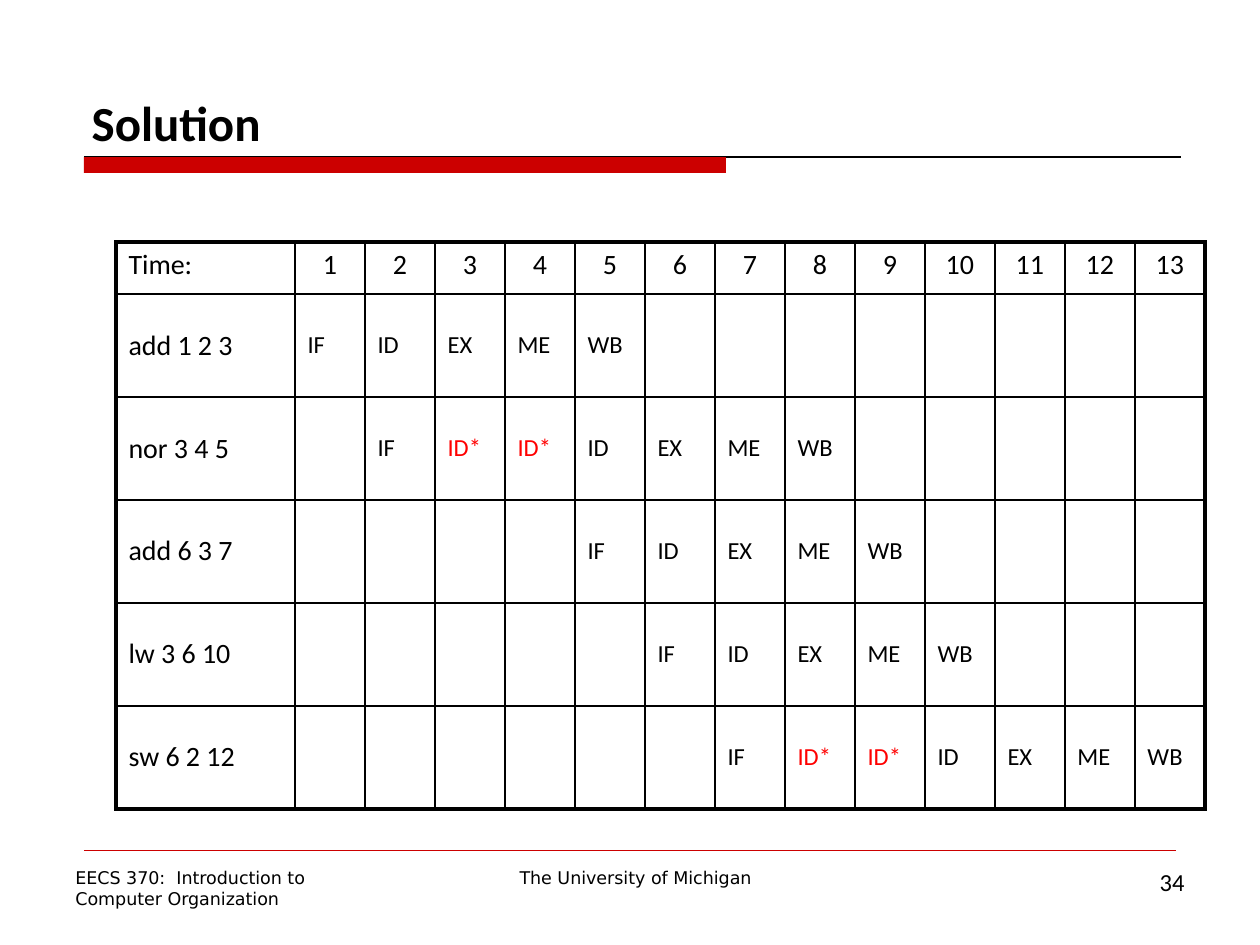
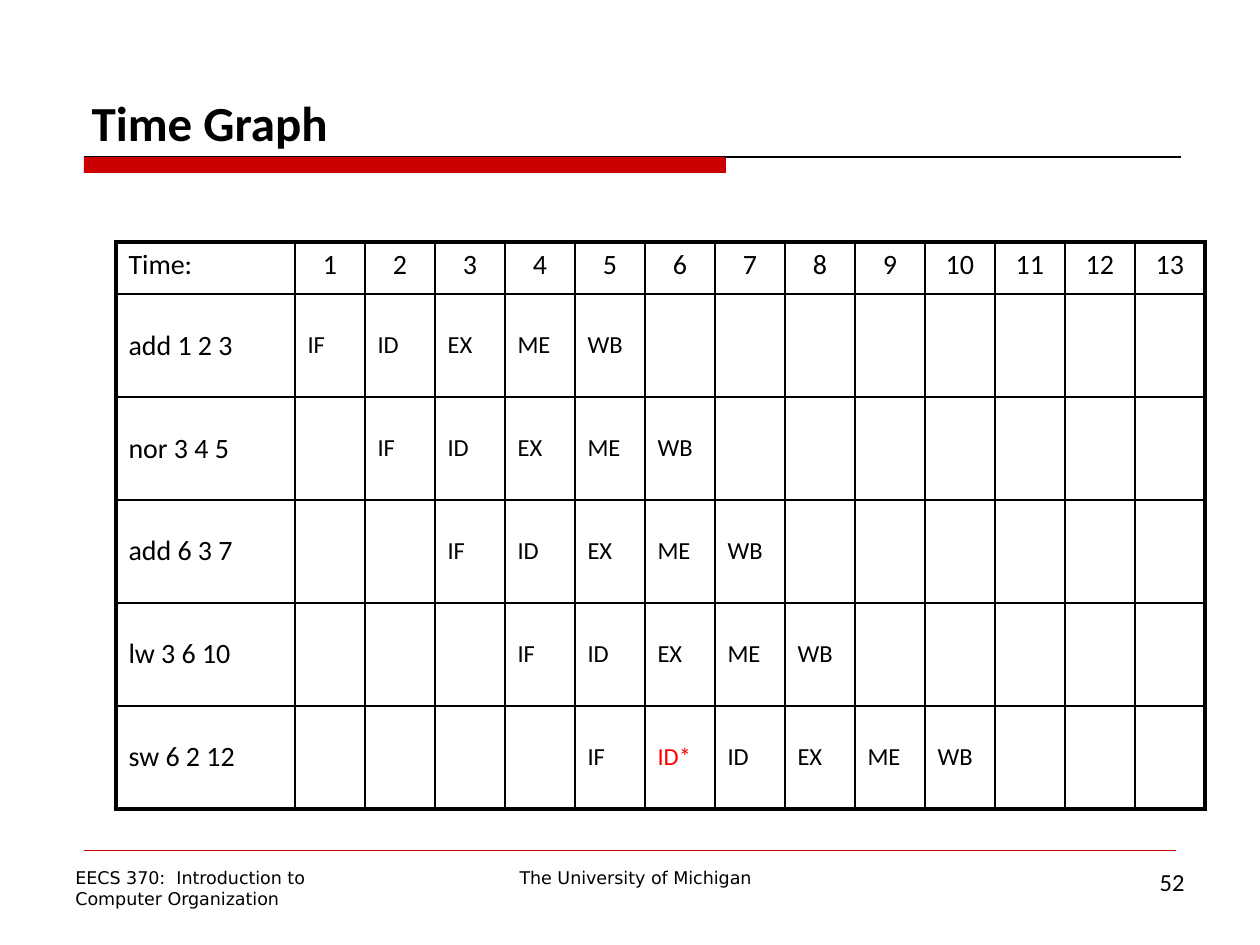
from lxml.etree import SubElement as Sub
from pptx import Presentation
from pptx.dml.color import RGBColor
from pptx.enum.shapes import MSO_CONNECTOR as Link, MSO_SHAPE as Shape
from pptx.enum.text import MSO_ANCHOR as Anchor, MSO_AUTO_SIZE as Fit, PP_ALIGN as Align
from pptx.oxml.ns import qn
from pptx.util import Pt

CODE = ["add 1 2 3", "nor 3 4 5", "add 6 3 7", "lw 3 6 10", "sw 6 2 12"]
STAGES = ["ID", "EX", "ME", "WB"]
STALL = "ID*"
CYCLES = 13
SLIDES = [
    {"title": "Solution", "page": "34", "stalls": [0, 2, 0, 0, 2]},
    {"title": "Time Graph", "page": "52", "stalls": [0, 0, 0, 0, 1]},
]
COURSE = "EECS 370:  Introduction to\nComputer Organization"
SCHOOL = "The University of Michigan"

BLACK, RED, BAND = "000000", "FF0000", "CC0000"
SANS, FOOT = "Calibri", "DejaVu Sans"
THIN, THICK = 1, 2.25
LEFT, TOP = 116, 242
NAME_W, STEP_W = 179, 70
HEAD_H, ROW_H = 52, 103


def px(n):
    return round(n * 914400 / 126)


def box(*sides):
    return [px(n) for n in sides]


def color(code):
    return RGBColor.from_string(code)


def style(frame, size, face=SANS, ink=BLACK, align=Align.LEFT, bold=False):
    for para in frame.paragraphs:
        para.alignment = align
        for run in para.runs:
            font = run.font
            font.size, font.name, font.bold = Pt(size), face, bold
            font.color.rgb = color(ink)


def label(slide, text, place, size, face, align):
    frame = slide.shapes.add_textbox(*box(*place)).text_frame
    frame.word_wrap = True
    frame.text = text
    style(frame, size, face, align=align)


def rule(slide, ends, ink, width):
    line = slide.shapes.add_connector(Link.STRAIGHT, *box(*ends))
    line.line.color.rgb = color(ink)
    line.line.width = Pt(width)
    Sub(line._element.spPr, qn("a:effectLst"))


def base(slide, title, page):
    rule(slide, (84, 157, 1181, 157), BLACK, 0.75)
    band = slide.shapes.add_shape(Shape.RECTANGLE, *box(84, 157, 642, 16))
    band.shadow.inherit = False
    band.fill.solid()
    band.fill.fore_color.rgb = color(BAND)
    band.line.fill.background()
    rule(slide, (84, 850, 1176, 850), BAND, 0.25)
    label(slide, SCHOOL, (399, 861, 473, 34), 10, FOOT, Align.CENTER)
    label(slide, COURSE, (63, 861, 346, 54), 10, FOOT, Align.LEFT)
    label(slide, page, (903, 861, 294, 66), 14, SANS, Align.RIGHT)
    head = slide.shapes.title
    head.left, head.top, head.width, head.height = box(79, 42, 1103, 116)
    frame = head.text_frame
    frame.text = title
    frame.auto_size = Fit.NONE
    frame.vertical_anchor = Anchor.BOTTOM
    style(frame, 28, bold=True)


def schedule(stalls):
    rows = [["Time:"] + [str(n + 1) for n in range(CYCLES)]]
    start = 0
    for code, wait in zip(CODE, stalls):
        steps = [""] * start + ["IF"] + [STALL] * wait + STAGES
        rows.append([code] + steps + [""] * (CYCLES - len(steps)))
        start += 1 + wait
    return rows


def edge(cell, sides):
    props = cell._tc.get_or_add_tcPr()
    for side, width in sides.items():
        line = Sub(props, qn("a:ln" + side), w=str(Pt(width)))
        fill = Sub(line, qn("a:solidFill"))
        Sub(fill, qn("a:srgbClr"), val=BLACK)


def chart(slide, rows):
    high, wide = len(rows), len(rows[0])
    size = NAME_W + STEP_W * CYCLES, HEAD_H + ROW_H * len(CODE)
    grid = slide.shapes.add_table(high, wide, *box(LEFT, TOP, *size)).table
    grid.first_row = grid.horz_banding = False
    for c, col in enumerate(grid.columns):
        col.width = px(STEP_W if c else NAME_W)
    for r, row in enumerate(grid.rows):
        row.height = px(ROW_H if r else HEAD_H)
        for c, text in enumerate(rows[r]):
            cell = grid.cell(r, c)
            edge(cell, {
                "L": THIN if c else THICK,
                "R": THIN if c < wide - 1 else THICK,
                "T": THIN if r else THICK,
                "B": THIN if r < high - 1 else THICK,
            })
            cell.fill.background()
            cell.vertical_anchor = Anchor.MIDDLE if r else Anchor.TOP
            if text:
                cell.text_frame.text = text
                style(cell.text_frame, 14 if r and c else 16,
                      ink=RED if text == STALL else BLACK,
                      align=Align.CENTER if c and not r else Align.LEFT)


def main():
    deck = Presentation()
    deck.slide_width, deck.slide_height = box(1260, 945)
    for item in SLIDES:
        slide = deck.slides.add_slide(deck.slide_layouts[5])
        base(slide, item["title"], item["page"])
        chart(slide, schedule(item["stalls"]))
    deck.save("out.pptx")


if __name__ == "__main__":
    main()
